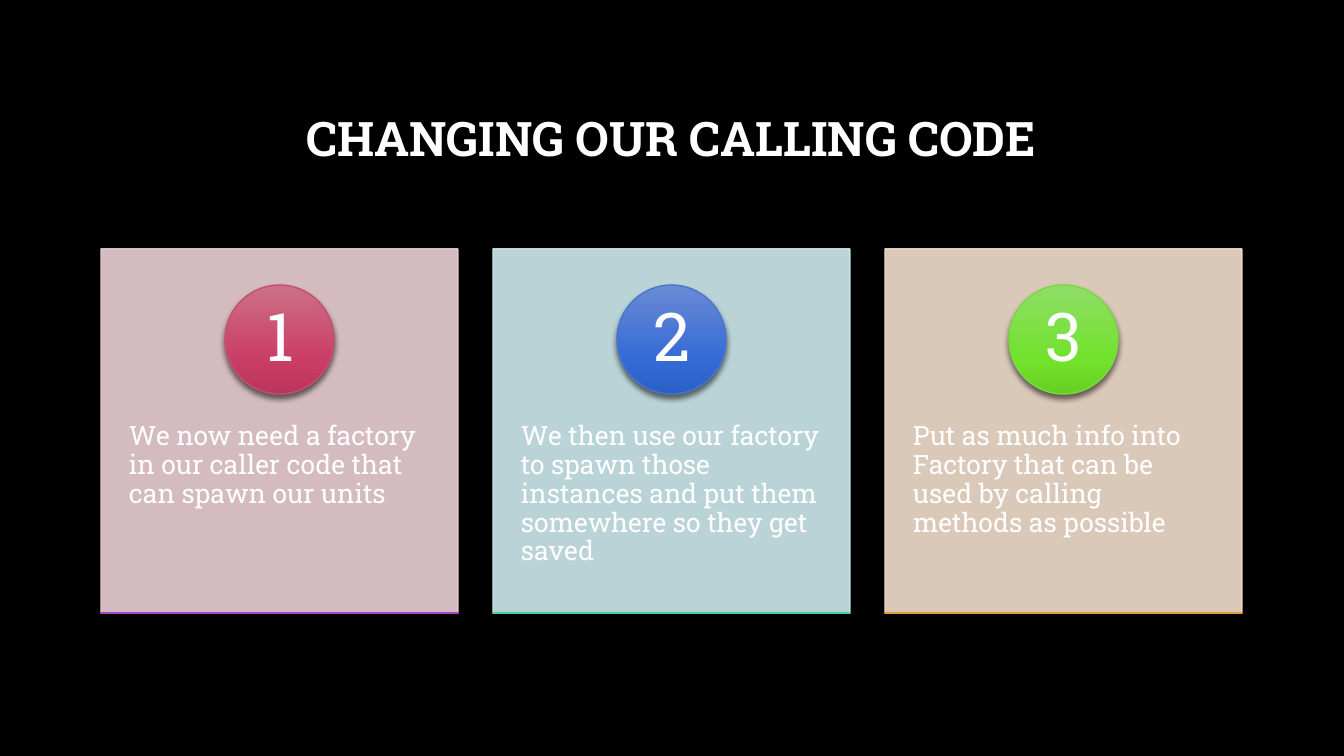
from copy import deepcopy

from lxml import etree
from pptx import Presentation
from pptx import util as u
from pptx.dml.color import RGBColor
from pptx.enum import shapes, text
from pptx.oxml import ns

FONT = "Roboto Slab"
WHITE = "FFFFFF"
SCALE = 914400 / 100.8
LEFT, TOP, WIDE, HIGH, STEP = 101, 249, 357, 364, 392

# text, card tint, disc (line, gradient), rule (line, gradient)
CARDS = [
    ("We now need a factory in our caller code that can spawn our units", "EAD0D5",
     ("C54F71", ("CC7087", "CA3D66", "BA355B")),
     ("A24BCA", ("AF6DD1", "A139D0", "9331C0"))),
    ("We then use our factory to spawn those instances and put them "
     "somewhere so they get saved", "CFEAEE",
     ("4775CF", ("6B8BD5", "346AD6", "2C60C5")),
     ("43D4A0", ("69DAAD", "2FDC9E", "28CB90"))),
    ("Put as much info into Factory that can be used by calling methods as possible",
     "F2DECE",
     ("7BD940", ("8FDE67", "71E22B", "66D023")),
     ("DE9C3C", ("E2AA66", "E79926", "D68B1F"))),
]


def px(n):
    return u.Emu(round(n * SCALE))


def rgb(code):
    return RGBColor.from_string(code)


def write(shape, words, size, align="LEFT", anchor="TOP", bold=False, pad=None):
    """Fill a shape with one paragraph; pad is (side, end) in px."""
    frame = shape.text_frame
    frame.word_wrap = True
    frame.auto_size = text.MSO_AUTO_SIZE.NONE
    frame.vertical_anchor = text.MSO_ANCHOR[anchor]
    if pad:
        frame.margin_left = frame.margin_right = px(pad[0])
        frame.margin_top = frame.margin_bottom = px(pad[1])
    para = frame.paragraphs[0]
    para.alignment = text.PP_ALIGN[align]
    para.line_spacing = 0.9
    run = para.add_run()
    run.text = words
    font = run.font
    font.name, font.size, font.bold = FONT, u.Pt(size), bold
    font.color.rgb = rgb(WHITE)


def draw(group, kind, box, line):
    shape = group.shapes.add_shape(shapes.MSO_SHAPE[kind], *map(px, box))
    shape.shadow.inherit = False
    shape.line.color.rgb = rgb(line)
    shape.line.width = u.Pt(1)
    return shape


def panel(group, box, tint):
    """Draw a card's slightly see-through background."""
    shape = draw(group, "RECTANGLE", box, tint)
    shape.fill.solid()
    shape.fill.fore_color.rgb = rgb(tint)
    for color in shape._element.spPr.iter(ns.qn("a:srgbClr")):
        etree.SubElement(color, ns.qn("a:alpha"), val="90000")


def glossy(group, kind, box, line, tones):
    """Draw a shape with a three-tone gradient and a soft shadow."""
    shape = draw(group, kind, box, line)
    fill = shape.fill
    fill.gradient()
    fill.gradient_angle = 270
    props = shape._element.spPr
    stops = props.find(".//" + ns.qn("a:gsLst"))
    stops.append(deepcopy(stops[-1]))
    for stop, tone, place in zip(fill.gradient_stops, tones, (0, 0.69, 1)):
        stop.color.rgb = rgb(tone)
        stop.position = place
    shade = etree.SubElement(
        props.find(ns.qn("a:effectLst")), ns.qn("a:outerShdw"),
        blurRad=str(u.Pt(4)), dist=str(u.Pt(3)), dir="5400000",
        algn="ctr", rotWithShape="0")
    color = etree.SubElement(shade, ns.qn("a:srgbClr"), val="000000")
    etree.SubElement(color, ns.qn("a:alpha"), val="54000")


def label(group, box, words, size, **style):
    write(group.shapes.add_textbox(*map(px, box)), words, size, **style)


def card(slide, index, words, tint, disc, rule):
    left = LEFT + index * STEP
    group = slide.shapes.add_group_shape()
    panel(group, (left, TOP, WIDE, HIGH), tint)
    label(group, (left, 387, WIDE, 219), words, 19, pad=(28, 36))
    glossy(group, "OVAL", (left + 124, 285, 109, 109), *disc)
    label(group, (left + 140, 301, 78, 78), str(index + 1), 48,
          align="CENTER", anchor="MIDDLE", pad=(8, 1))
    glossy(group, "RECTANGLE", (left, TOP + HIGH, WIDE, 0), *rule)


def main():
    deck = Presentation()
    deck.slide_width, deck.slide_height = px(1344), px(756)
    slide = deck.slides.add_slide(deck.slide_layouts[5])
    back = slide.background.fill
    back.solid()
    back.fore_color.rgb = rgb("000000")
    title = slide.shapes.title
    title.left, title.top, title.width, title.height = map(px, (LEFT, 68, 1141, 146))
    write(title, "CHANGING OUR CALLING CODE", 34,
          align="CENTER", anchor="MIDDLE", bold=True)
    for index, content in enumerate(CARDS):
        card(slide, index, *content)
    deck.save("out.pptx")


if __name__ == "__main__":
    main()
